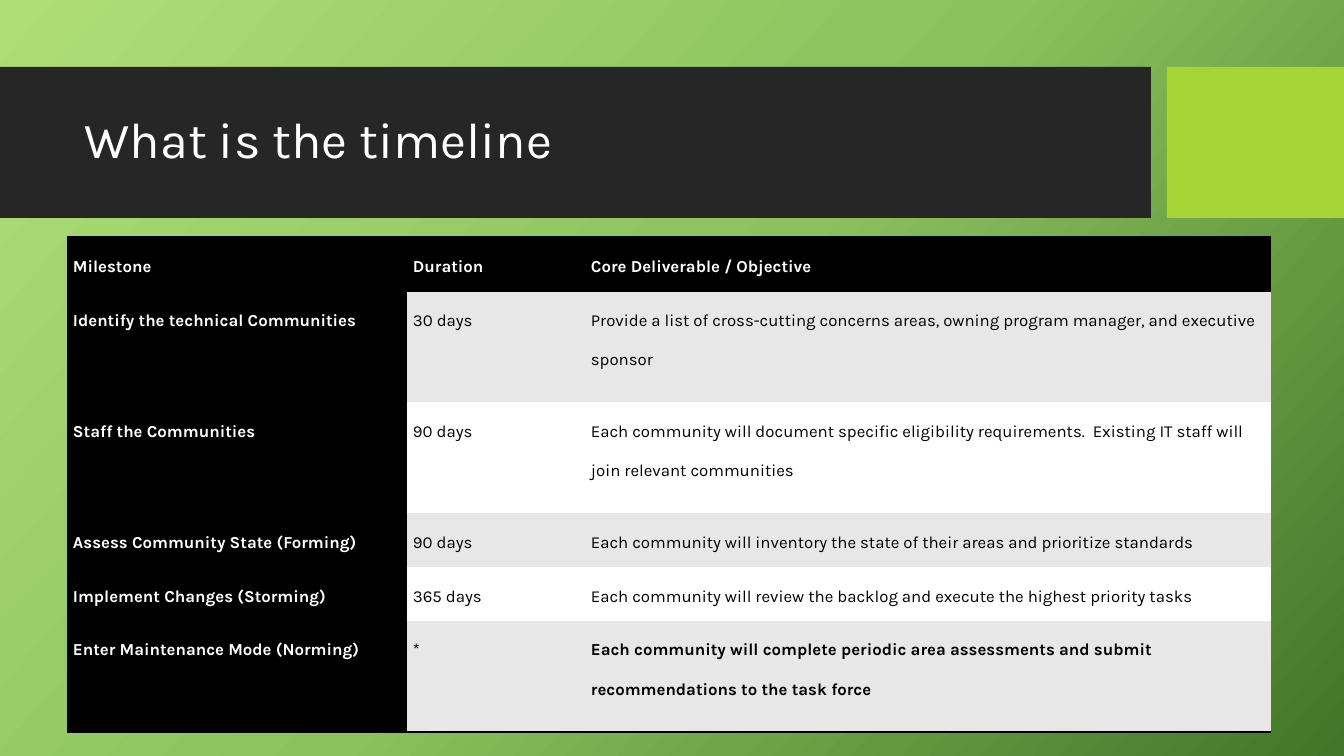
from copy import deepcopy

from lxml.etree import SubElement
from pptx import Presentation
from pptx.dml.color import RGBColor
from pptx.enum.shapes import MSO_SHAPE
from pptx.enum.text import MSO_ANCHOR
from pptx.oxml.ns import qn
from pptx.util import Emu, Pt

EMU_PER_PIXEL = 914400 / 100.8
FONT = "Karla"
BLACK, WHITE, GREY = "000000", "FFFFFF", "E7E7E7"

COLUMN_WIDTHS = [340, 178, 686]
ROW_HEIGHTS = [54, 111, 111, 54, 54, 111]
TIMELINE = [
    ("Milestone", "Duration", "Core Deliverable / Objective"),
    ("Identify the technical Communities", "30 days",
     "Provide a list of cross-cutting concerns areas, owning program manager, "
     "and executive sponsor"),
    ("Staff the Communities", "90 days",
     "Each community will document specific eligibility requirements.  "
     "Existing IT staff will join relevant communities"),
    ("Assess Community State (Forming)", "90 days",
     "Each community will inventory the state of their areas and prioritize standards"),
    ("Implement Changes (Storming)", "365 days",
     "Each community will review the backlog and execute the highest priority tasks"),
    ("Enter Maintenance Mode (Norming)", "*",
     "Each community will complete periodic area assessments and submit "
     "recommendations to the task force"),
]


def px(pixels):
    return Emu(round(pixels * EMU_PER_PIXEL))


def color(value):
    return RGBColor.from_string(value)


def write_text(frame, text, size=12, ink=BLACK, bold=False, spacing=1.0):
    frame.word_wrap = True
    para = frame.paragraphs[0]
    para.line_spacing = spacing
    span = para.add_run()
    span.text = text
    span.font.name = FONT
    span.font.size = Pt(size)
    span.font.bold = bold
    span.font.color.rgb = color(ink)


def set_background(page, colors, angle):
    """Spread the colors evenly along a gradient at a clockwise angle."""
    fill = page.background.fill
    fill.gradient()
    fill.gradient_angle = 360 - angle
    stop_list = page.element.find(".//" + qn("a:gsLst"))
    while len(stop_list) < len(colors):
        stop_list.append(deepcopy(stop_list[-1]))
    for index, (stop, value) in enumerate(zip(fill.gradient_stops, colors)):
        stop.position = index / (len(colors) - 1)
        stop.color.rgb = color(value)


def add_band(page, left, top, width, height, fill):
    band = page.shapes.add_shape(
        MSO_SHAPE.RECTANGLE, px(left), px(top), px(width), px(height))
    band.shadow.inherit = False
    band.fill.solid()
    band.fill.fore_color.rgb = color(fill)
    band.line.fill.background()


def add_title(page, text, left, top, width, height):
    box = page.shapes.add_textbox(px(left), px(top), px(width), px(height))
    box.text_frame.vertical_anchor = MSO_ANCHOR.MIDDLE
    write_text(box.text_frame, text, size=36, ink=WHITE, spacing=0.9)


def set_borders(cell, ruled_sides):
    """Rule the named sides in black and clear the others."""
    properties = cell._tc.get_or_add_tcPr()
    for index, side in enumerate(("lnL", "lnR", "lnT", "lnB")):
        ruled = side in ruled_sides
        line = properties.makeelement(qn(f"a:{side}"), {"w": str(Pt(2) if ruled else 0)})
        properties.insert(index, line)
        if ruled:
            paint = SubElement(line, qn("a:solidFill"))
            SubElement(paint, qn("a:srgbClr"), val=BLACK)
        else:
            SubElement(line, qn("a:noFill"))


def format_cell(cell, text, fill, ink, bold, ruled_sides):
    cell.margin_left = cell.margin_right = px(6)
    cell.margin_top = cell.margin_bottom = 0
    cell.fill.solid()
    cell.fill.fore_color.rgb = color(fill)
    write_text(cell.text_frame, text, ink=ink, bold=bold, spacing=2.0)
    set_borders(cell, ruled_sides)


def add_timeline(page, left, top):
    table = page.shapes.add_table(
        len(TIMELINE), len(COLUMN_WIDTHS), px(left), px(top),
        px(sum(COLUMN_WIDTHS)), px(sum(ROW_HEIGHTS))).table
    for column, width in zip(table.columns, COLUMN_WIDTHS):
        column.width = px(width)
    for row, height in zip(table.rows, ROW_HEIGHTS):
        row.height = px(height)

    last_row, last_column = len(TIMELINE) - 1, len(COLUMN_WIDTHS) - 1
    for r, texts in enumerate(TIMELINE):
        ruled_sides = {0: ("lnT", "lnB"), last_row: ("lnB",)}.get(r, ())
        for c, text in enumerate(texts):
            heading = r == 0 or c == 0
            stripe = GREY if r % 2 else WHITE
            format_cell(
                table.cell(r, c), text,
                fill=BLACK if heading else stripe,
                ink=WHITE if heading else BLACK,
                bold=heading or (r, c) == (last_row, last_column),
                ruled_sides=ruled_sides)


def main():
    deck = Presentation()
    deck.slide_width, deck.slide_height = px(1344), px(756)
    page = deck.slides.add_slide(deck.slide_layouts[6])

    # Background and title bands
    set_background(page, ["AFDE77", "8BC25D", "437528"], angle=42)
    add_band(page, 0, 67, 1151, 151, "262626")
    add_band(page, 1167, 67, 177, 151, "A7D535")
    add_title(page, "What is the timeline", 75, 83, 1059, 119)

    # Milestone table
    add_timeline(page, 67, 237)

    deck.save("out.pptx")


main()
